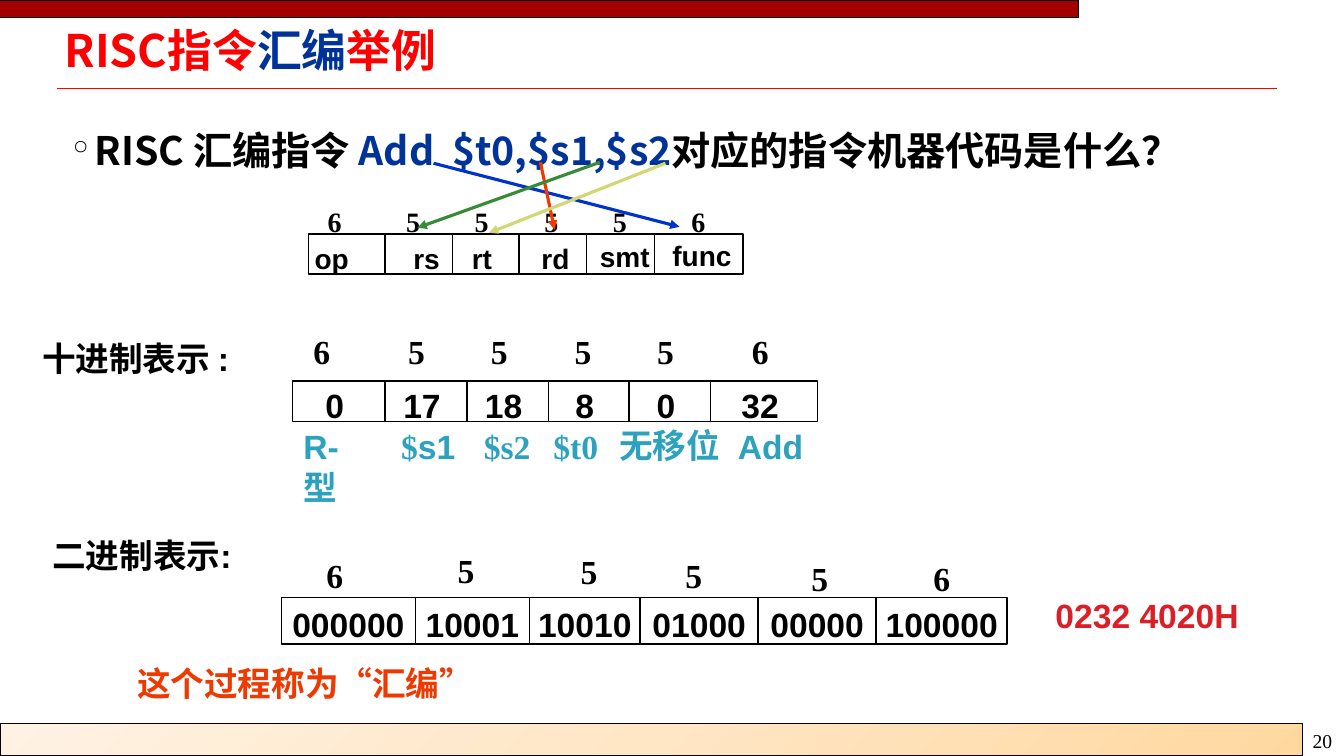
import itertools
import pptx
import pptx.dml.color
import pptx.enum.shapes
import pptx.enum.text
import pptx.oxml
import pptx.oxml.ns
import pptx.util

Inches = pptx.util.Inches
Pt = pptx.util.Pt
ALIGN = pptx.enum.text.PP_ALIGN
ANCHOR = pptx.enum.text.MSO_ANCHOR

SANS, SERIF, CJK = "Arial", "Times New Roman", "Noto Sans CJK SC"
BLACK, RED, NAVY, TEAL, ORANGE = "000000", "FF0000", "003399", "2DA2BF", "EE3900"
WIDE, TIGHT = (0.1, 0.05), (0.07, 0.03)

TITLE = [("RISC指令", RED, CJK), ("汇编", NAVY, CJK), ("举例", RED, CJK)]
QUESTION = [("RISC 汇编指令 ", BLACK, CJK), ("Add  $t0,$s1,$s2", NAVY, CJK),
            ("对应的指令机器代码是什么？", BLACK, CJK)]

FIELD_EDGES = [3.06, 3.82, 4.49, 5.15, 5.82, 6.49, 7.37]
DECIMAL_EDGES = [2.9, 3.82, 4.63, 5.44, 6.24, 7.05, 8.11]
BINARY_EDGES = [2.79, 4.12, 5.25, 6.35, 7.52, 8.69, 9.99]
ROWS = [(FIELD_EDGES, 2.32, 0.4), (DECIMAL_EDGES, 3.78, 0.4), (BINARY_EDGES, 5.93, 0.46)]

BIT_COUNTS = ["6", "5", "5", "5", "5", "6"]
BIT_ROWS = [
    (20, 0.38, 0.44, [(3.15, 1.98), (3.93, 1.98), (4.61, 1.98),
                      (5.3, 1.98), (5.98, 1.98), (6.76, 1.98)]),
    (24, 0.45, 0.51, [(3.01, 3.23), (3.95, 3.23), (4.77, 3.23),
                      (5.6, 3.23), (6.42, 3.23), (7.36, 3.23)]),
    (24, 0.76, 0.51, [(3.14, 5.46), (4.44, 5.41), (5.66, 5.42),
                      (6.7, 5.46), (7.95, 5.49), (9.16, 5.49)]),
]
FIELD_NAMES = [("op", 3.05, 2.42), ("rs", 4.03, 2.42), ("rt", 4.61, 2.42),
               ("rd", 5.3, 2.42), ("smt", 5.88, 2.4)]
DECIMAL_VALUES = ["0", "17", "18", "8", "0", "32"]
BINARY_VALUES = ["000000", "10001", "10010", "01000", "00000", "100000"]
MEANINGS = [
    (2.91, 0.8, [("R-型", TEAL, SANS)]),
    (3.88, 0.9, [("$", TEAL, SERIF), ("s1", TEAL, SANS)]),
    (4.7, 0.8, [("$s2", TEAL, SERIF)]),
    (5.39, 0.8, [("$t0", TEAL, SERIF)]),
    (7.22, 1.0, [("Add", TEAL, SANS)]),
]
ARROWS = [
    ((4.3, 1.62), (6.74, 2.25), "0033CC"),
    ((5.36, 1.61), (5.5, 2.28), ORANGE),
    ((5.95, 1.61), (4.14, 2.26), "388A36"),
    ((6.6, 1.62), (4.85, 2.31), "D0D773"),
]
CAPTIONS = [
    ("十进制表示 :", (0.32, 3.3, 2.14, 0.51), BLACK, SANS, WIDE),
    ("二进制表示:", (0.42, 5.26, 2.07, 0.51), BLACK, SANS, WIDE),
    ("0232 4020H", (10.37, 5.85, 2.1, 0.51), "DA1F28", SANS, WIDE),
    ("这个过程称为“汇编”", (1.29, 6.55, 3.94, 0.46), ORANGE, CJK, TIGHT),
]
FOOTER_GRADIENT = (
    '<a:gradFill xmlns:a="http://schemas.openxmlformats.org/drawingml/2006/main" rotWithShape="1">'
    '<a:gsLst><a:gs pos="0"><a:srgbClr val="FFD8A0"/></a:gs>'
    '<a:gs pos="50000"><a:srgbClr val="FFE6C5"/></a:gs>'
    '<a:gs pos="100000"><a:srgbClr val="FFF2E3"/></a:gs></a:gsLst>'
    '<a:path path="circle"><a:fillToRect l="100000" t="100000"/></a:path></a:gradFill>')

deck = pptx.Presentation()
deck.slide_width, deck.slide_height = Inches(13.33), Inches(7.5)
page = deck.slides.add_slide(deck.slide_layouts[6])


def color(value):
    return pptx.dml.color.RGBColor.from_string(value)


def add_child(parent, tag, **attributes):
    child = parent.makeelement(pptx.oxml.ns.qn(tag), attributes)
    parent.append(child)
    return child


def add_box(left, top, width, height, fill=None, weight=1):
    box = page.shapes.add_shape(pptx.enum.shapes.MSO_SHAPE.RECTANGLE,
                                *map(Inches, (left, top, width, height)))
    box.shadow.inherit = False
    box.line.color.rgb = color(BLACK)
    box.line.width = Pt(weight)
    if fill:
        box.fill.solid()
        box.fill.fore_color.rgb = color(fill)
    else:
        box.fill.background()
    return box


def add_line(start, end, tint, weight, arrow=False):
    line = page.shapes.add_connector(pptx.enum.shapes.MSO_CONNECTOR.STRAIGHT,
                                     *map(Inches, start + end))
    line.line.color.rgb = color(tint)
    line.line.width = Pt(weight)
    if arrow:
        add_child(line.line._get_or_add_ln(), "a:tailEnd", type="triangle")
    add_child(line._element.spPr, "a:effectLst")


def add_text(spans, left, top, width, height, size, insets=WIDE, spacing=None,
             align=ALIGN.LEFT, anchor=ANCHOR.TOP, bold=True):
    box = page.shapes.add_textbox(*map(Inches, (left, top, width, height)))
    frame = box.text_frame
    frame.word_wrap = True
    frame.vertical_anchor = anchor
    frame.margin_left = frame.margin_right = Inches(insets[0])
    frame.margin_top = frame.margin_bottom = Inches(insets[1])
    para = frame.paragraphs[0]
    para.alignment = align
    if spacing:
        para.line_spacing = spacing
    for words, tint, font in spans:
        span = para.add_run()
        span.text = words
        span.font.size = Pt(size)
        span.font.bold = bold
        span.font.name = font
        span.font.color.rgb = color(tint)
        add_child(span._r.get_or_add_rPr(), "a:ea", typeface=CJK)
    return para


add_line((0.57, 0.88), (12.67, 0.88), RED, 1)
footer = add_box(0, 7.18, 12.92, 0.32, weight=0.75)
plain_fill = footer._element.spPr.find(pptx.oxml.ns.qn("a:noFill"))
footer._element.spPr.replace(plain_fill, pptx.oxml.parse_xml(FOOTER_GRADIENT))
add_text([("20", BLACK, SERIF)], 12.92, 7.18, 0.43, 0.34, 14, bold=False)
add_box(0, 0.01, 10.7, 0.16, fill="A40000", weight=0.75)

add_text(TITLE, 0.57, 0.27, 12.02, 0.52, 32, TIGHT, 0.87, anchor=ANCHOR.MIDDLE)
question = add_text(QUESTION, 0.65, 1.08, 11.94, 1.22, 28, TIGHT, 1.3)
bullet = question._p.get_or_add_pPr()
bullet.set("marL", str(Inches(0.22)))
bullet.set("indent", str(-Inches(0.22)))
add_child(bullet, "a:buChar", char="°")

for edges, top, height in ROWS:
    for left, right in itertools.pairwise(edges):
        add_box(left, top, right - left, height)

for size, width, height, places in BIT_ROWS:
    for count, (left, top) in zip(BIT_COUNTS, places):
        add_text([(count, BLACK, SERIF)], left, top, width, height, size)

for name, left, top in FIELD_NAMES:
    add_text([(name, BLACK, SANS)], left, top, 0.8, 0.34, 20, TIGHT, 0.85)
add_text([("func", BLACK, SANS)], 6.57, 2.32, 0.9, 0.44, 20)

for start, end, tint in ARROWS:
    add_line(start, end, tint, 2.25, arrow=True)

for value, (left, right) in zip(DECIMAL_VALUES, itertools.pairwise(DECIMAL_EDGES)):
    add_text([(value, BLACK, SANS)], left - 0.04, 3.82, right - left, 0.4, 24,
             align=ALIGN.CENTER, anchor=ANCHOR.MIDDLE)
for value, (left, right) in zip(BINARY_VALUES, itertools.pairwise(BINARY_EDGES)):
    add_text([(value, BLACK, SANS)], left, 5.96, right - left, 0.46, 24, TIGHT,
             align=ALIGN.CENTER)

for left, width, spans in MEANINGS:
    add_text(spans, left, 4.18, width, 0.51, 24)
add_text([("无移位", TEAL, SANS)], 6.07, 4.25, 1.3, 0.4, 24, TIGHT, 0.85)

for words, place, tint, font, insets in CAPTIONS:
    add_text([(words, tint, font)], *place, 24, insets)

deck.save("out.pptx")
